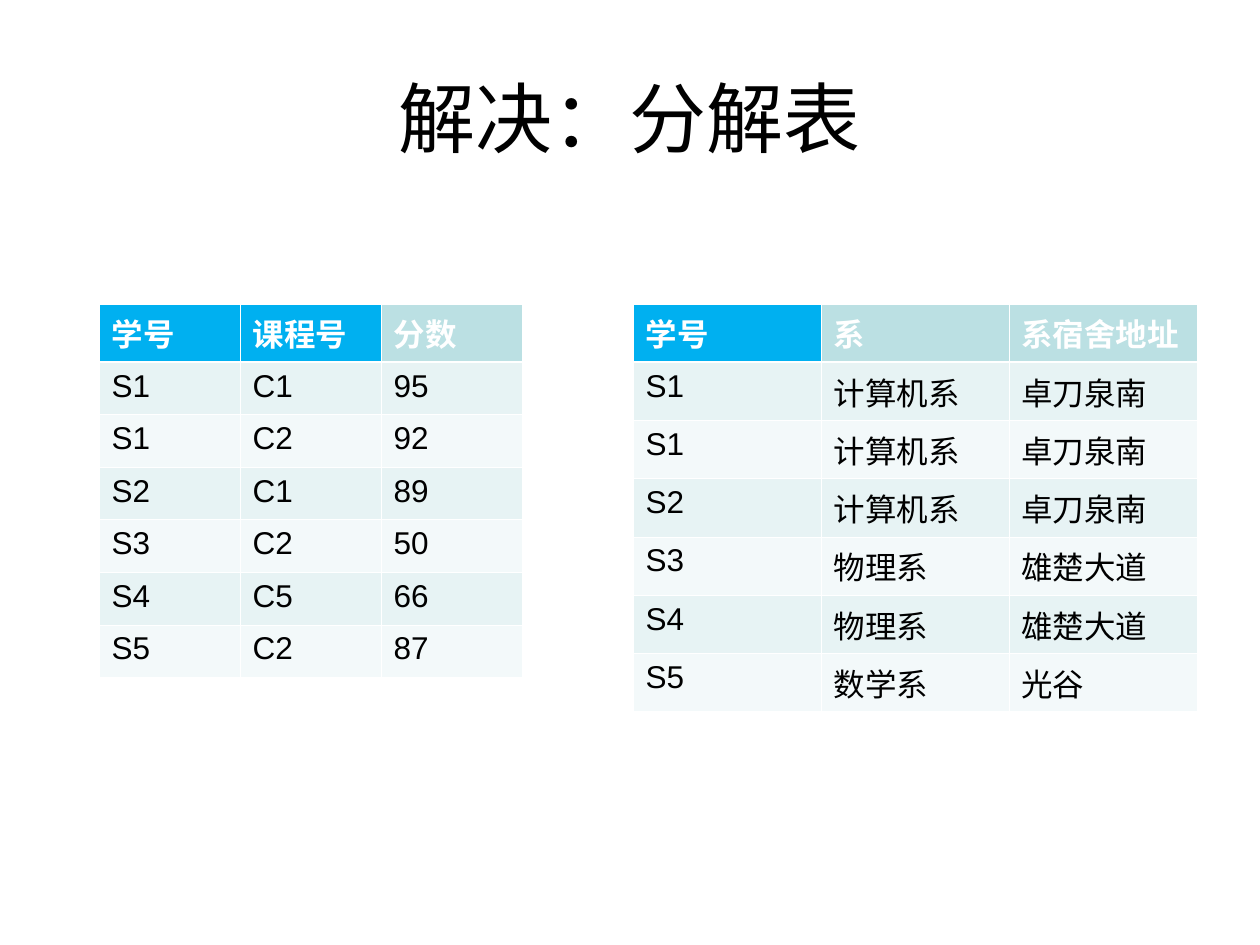
from pptx import Presentation
from pptx.dml.color import RGBColor
from pptx.enum.text import MSO_ANCHOR as Anchor, PP_ALIGN as Align
from pptx.oxml import parse_xml as make
from pptx.oxml.ns import nsdecls
from pptx.util import Pt

PX = 914400 / 126


def px(*sizes):
    return [round(size * PX) for size in sizes]


def tint(color, code):
    color.rgb = RGBColor.from_string(code)


deck = Presentation()
deck.slide_width, deck.slide_height = px(1260, 945)
slide = deck.slides.add_slide(deck.slide_layouts[5])

title = slide.shapes.title
title.left, title.top, title.width, title.height = px(63, 38, 1134, 157)
frame = title.text_frame
frame.text = "解决：分解表"
frame.vertical_anchor = Anchor.MIDDLE
head = frame.paragraphs[0]
head.alignment = Align.CENTER
for name, value in {"name": "Arial", "size": Pt(44)}.items():
    setattr(head.font, name, value)
tint(head.font.color, "000000")

tables = [
    (99, 423, 2, [
        ("学号", "课程号", "分数"),
        ("S1", "C1", "95"),
        ("S1", "C2", "92"),
        ("S2", "C1", "89"),
        ("S3", "C2", "50"),
        ("S4", "C5", "66"),
        ("S5", "C2", "87"),
    ]),
    (633, 564, 1, [
        ("学号", "系", "系宿舍地址"),
        ("S1", "计算机系", "卓刀泉南"),
        ("S1", "计算机系", "卓刀泉南"),
        ("S2", "计算机系", "卓刀泉南"),
        ("S3", "物理系", "雄楚大道"),
        ("S4", "物理系", "雄楚大道"),
        ("S5", "数学系", "光谷"),
    ]),
]

for left, width, keys, rows in tables:
    grid = slide.shapes.add_table(
        len(rows), len(rows[0]), *px(left, 304, width, 368)).table
    for r, row in enumerate(rows):
        for c, text in enumerate(row):
            cell = grid.cell(r, c)
            cell.text = text
            font = cell.text_frame.paragraphs[0].font
            style = {"name": "Arial", "size": Pt(18), "bold": r == 0}
            for name, value in style.items():
                setattr(font, name, value)
            tint(font.color, "000000" if r else "FFFFFF")

            props = cell._tc.get_or_add_tcPr()
            for side in "LRTB":
                thick = (r, side) in [(0, "B"), (1, "T")]
                line = Pt(1.47 if thick else 0.45)
                props.append(make(
                    f'<a:ln{side} {nsdecls("a")} w="{line}"><a:solidFill>'
                    f'<a:srgbClr val="FFFFFF"/></a:solidFill></a:ln{side}>'))

            if r == 0:
                fill = "00B0F0" if c < keys else "BBE0E3"
            else:
                fill = "E7F3F4" if r % 2 else "F3F9FA"
            cell.fill.solid()
            tint(cell.fill.fore_color, fill)

deck.save("out.pptx")
